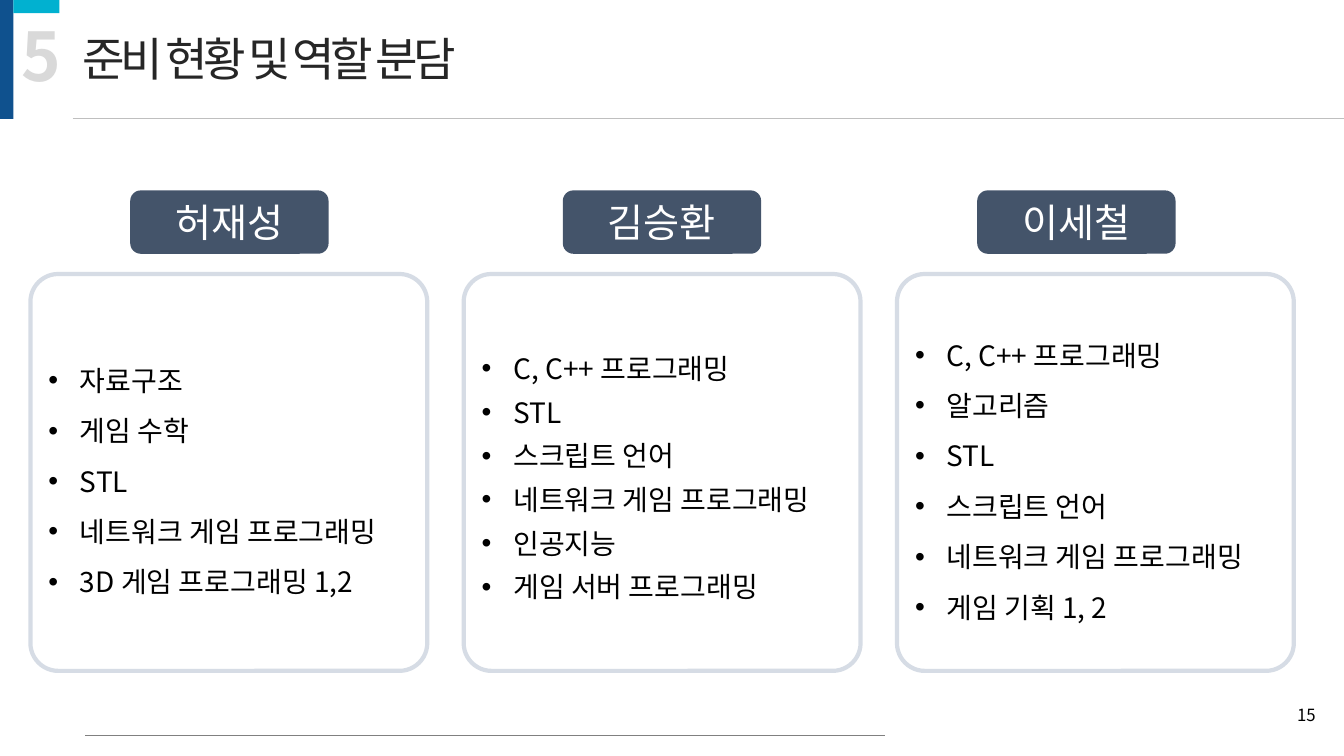
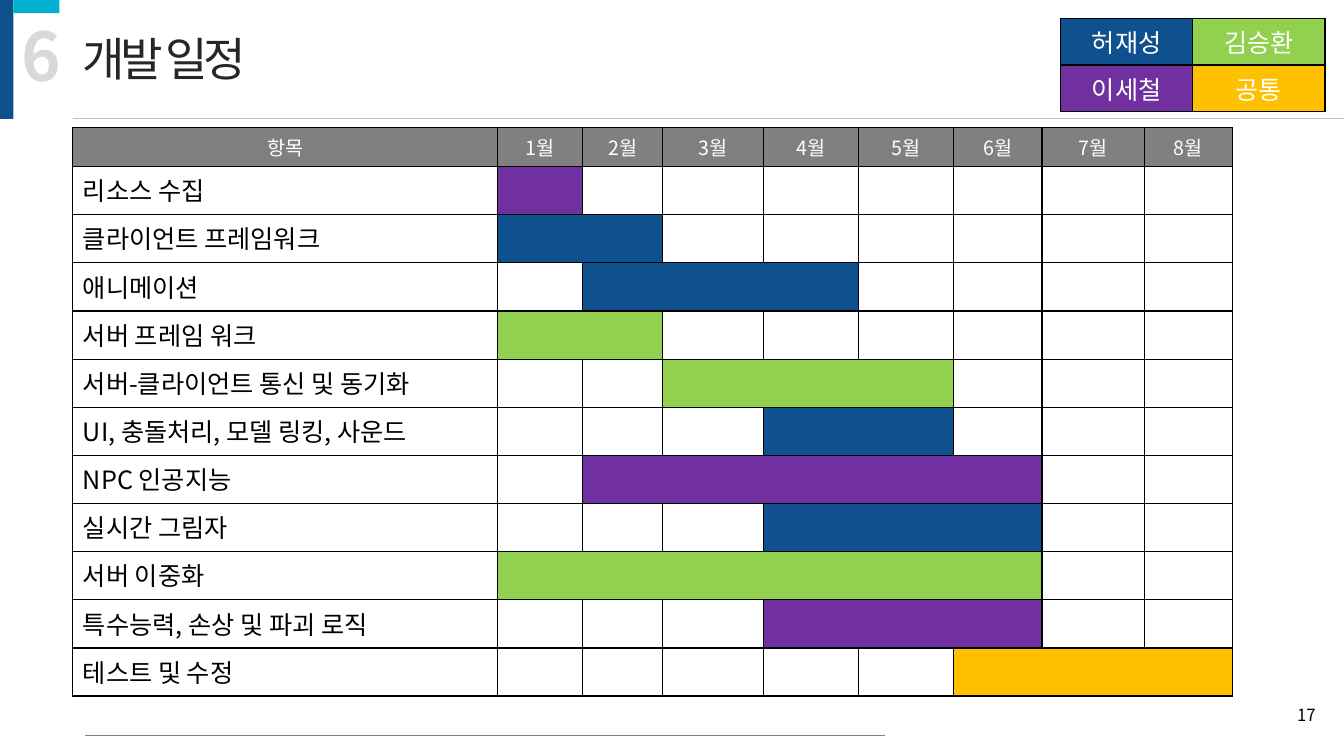
"""Build two project slides: team preparation by member and the development schedule."""
import pptx
import pptx.dml.color
import pptx.enum.shapes
import pptx.enum.text
import pptx.oxml
import pptx.oxml.ns
import pptx.util

Pt = pptx.util.Pt
RGB = pptx.dml.color.RGBColor.from_string
MSO = pptx.enum.shapes.MSO_SHAPE
ALIGN = pptx.enum.text.PP_ALIGN
ANCHOR = pptx.enum.text.MSO_ANCHOR
qn = pptx.oxml.ns.qn
NS = pptx.oxml.ns.nsdecls("a")

THEME = {
    "font": "Noto Sans CJK KR",
    "colors": {
        "navy": "0F518E", "cyan": "01B1D0", "rule": "BFBFBF", "gray": "808080",
        "slate": "44546A", "frame": "D6DCE5", "white": "FFFFFF", "black": "000000",
        "ink": "262626", "pale": "D9D9D9", "green": "92D050", "purple": "7030A0",
        "amber": "FFC000",
    },
    "styles": {
        "title": {"size": 33, "color": "ink", "spacing": -300},
        "number": {"size": 48, "color": "pale", "bold": True, "wrap": False},
        "page": {"size": 12, "color": "black", "align": ALIGN.RIGHT, "anchor": ANCHOR.MIDDLE},
        "badge": {"size": 28, "color": "white", "align": ALIGN.CENTER, "anchor": ANCHOR.MIDDLE},
        "list": {"size": 20, "color": "black", "anchor": ANCHOR.MIDDLE, "indent": 22.5},
        "head": {"size": 14, "color": "white", "align": ALIGN.CENTER},
        "task": {"size": 18, "color": "black"},
        "legend": {"size": 18, "color": "white", "align": ALIGN.CENTER, "anchor": ANCHOR.MIDDLE},
    },
}
COLORS = {name: RGB(value) for name, value in THEME["colors"].items()}


def put(s, kind, box, fill=None, line=None):
    """Add a preset shape, or a text box when kind is None."""
    box = [Pt(v) for v in box]
    if kind is None:
        return s.shapes.add_textbox(*box)
    sp = s.shapes.add_shape(kind, *box)
    sp.shadow.inherit = False
    for part, color in ((sp.fill, fill), (sp.line.fill, line)):
        if color:
            part.solid()
            part.fore_color.rgb = COLORS[color]
        else:
            part.background()
    return sp


def write(tf, lines, style, spacing=None):
    """Fill a text frame with one paragraph per line in a theme style."""
    st = THEME["styles"][style]
    tf.word_wrap = st.get("wrap", True)
    tf.vertical_anchor = st.get("anchor", ANCHOR.TOP)
    for i, text in enumerate(lines):
        p = tf.add_paragraph() if i else tf.paragraphs[0]
        for name, value in {"alignment": st.get("align", ALIGN.LEFT), "line_spacing": spacing}.items():
            setattr(p, name, value)
        if "indent" in st:
            pPr = p._p.get_or_add_pPr()
            pPr.set("marL", str(Pt(st["indent"])))
            pPr.set("indent", str(-Pt(st["indent"])))
            pPr.append(pptx.oxml.parse_xml(f'<a:buFont {NS} typeface="Arial"/>'))
            pPr.append(pptx.oxml.parse_xml(f'<a:buChar {NS} char="•"/>'))
        r = p.add_run()
        r.text = text
        values = {"size": Pt(st["size"]), "bold": st.get("bold", False), "name": THEME["font"]}
        for name, value in values.items():
            setattr(r.font, name, value)
        r.font.color.rgb = COLORS[st["color"]]
        rPr = r.font._element
        rPr.append(pptx.oxml.parse_xml(f'<a:ea {NS} typeface="{THEME["font"]}"/>'))
        if "spacing" in st:
            rPr.set("spc", str(st["spacing"]))


prs = pptx.Presentation()
prs.slide_width, prs.slide_height = Pt(960), Pt(540)

slides = []
for number, title, page in (("5", "준비 현황 및 역할 분담", "15"), ("6", "개발 일정", "17")):
    s = prs.slides.add_slide(prs.slide_layouts[6])
    slides.append(s)
    put(s, MSO.RECTANGLE, (0, 0, 9.5, 85), "navy")
    put(s, MSO.RECTANGLE, (9.5, 0, 33, 9.4), "cyan")
    for x1, x2, y, color in ((52, 960, 84.5, "rule"), (61, 632, 525, "gray")):
        cn = s.shapes.add_connector(pptx.enum.shapes.MSO_CONNECTOR.STRAIGHT, Pt(x1), Pt(y), Pt(x2), Pt(y))
        cn.line.width = Pt(0.5)
        cn.line.color.rgb = COLORS[color]
        cn._element.spPr.append(pptx.oxml.parse_xml(f"<a:effectLst {NS}/>"))
    for text, style, box in (
        (title, "title", (52, 18, 323, 47.5)),
        (number, "number", (8.6, 6.5, 42.5, 65.5)),
        (page, "page", (916, 496, 31, 29)),
    ):
        write(put(s, None, box).text_frame, [text], style)

team_slide, plan_slide = slides
members = (
    ("허재성", 93, 1.5, ["자료구조", "게임 수학", "STL", "네트워크 게임 프로그래밍", "3D 게임 프로그래밍 1,2"]),
    ("김승환", 402, 1.3, ["C, C++ 프로그래밍", "STL", "스크립트 언어", "네트워크 게임 프로그래밍",
                       "인공지능", "게임 서버 프로그래밍"]),
    ("이세철", 698, 1.5, ["C, C++ 프로그래밍", "알고리즘", "STL", "스크립트 언어",
                       "네트워크 게임 프로그래밍", "게임 기획 1, 2"]),
)
for i, (name, badge_left, spacing, skills) in enumerate(members):
    card = put(team_slide, MSO.ROUNDED_RECTANGLE, (21.7 + 309.5 * i, 195.7, 283.5, 283.5), line="frame")
    card.adjustments[0] = 0.07
    card.line.width = Pt(3)
    write(card.text_frame, skills, "list", spacing)
    badge = put(team_slide, MSO.ROUNDED_RECTANGLE, (badge_left, 136, 141.7, 45.3), "slate")
    write(badge.text_frame, [name], "badge")

owners = {"허재성": "navy", "김승환": "green", "이세철": "purple", "공통": "amber"}
tasks = (
    ("리소스 수집", 1, 1, "이세철"),
    ("클라이언트 프레임워크", 1, 2, "허재성"),
    ("애니메이션", 2, 4, "허재성"),
    ("서버 프레임 워크", 1, 2, "김승환"),
    ("서버-클라이언트 통신 및 동기화", 3, 5, "김승환"),
    ("UI, 충돌처리, 모델 링킹, 사운드", 4, 5, "허재성"),
    ("NPC 인공지능", 2, 6, "이세철"),
    ("실시간 그림자", 4, 6, "허재성"),
    ("서버 이중화", 1, 6, "김승환"),
    ("특수능력, 손상 및 파괴 로직", 4, 6, "이세철"),
    ("테스트 및 수정", 6, 8, "공통"),
)
headings = ["항목"] + [f"{month}월" for month in range(1, 9)]
plan = [(0, c, c, text, "head", "gray") for c, text in enumerate(headings)]
for row, (task, start, end, owner) in enumerate(tasks, 1):
    plan.append((row, 0, 0, task, "task", "white"))
    plan.append((row, start, end, None, "task", owners[owner]))
legend = [(i // 2, i % 2, i % 2, name, "legend", color) for i, (name, color) in enumerate(owners.items())]

grids = (
    (52, 91, [303.5, 60.5, 57.5, 72, 67.7, 67.7, 63.5, 73, 63], [28] + [34.4] * len(tasks), plan),
    (757.5, 13, [94.5] * 2, [33.4] * 2, legend),
)
for left, top, widths, heights, entries in grids:
    frame = plan_slide.shapes.add_table(
        len(heights), len(widths), Pt(left), Pt(top), Pt(sum(widths)), Pt(sum(heights)))
    tbl = frame.table
    tbl.first_row = tbl.horz_banding = False
    for column, width in zip(tbl.columns, widths):
        column.width = Pt(width)
    for row, height in zip(tbl.rows, heights):
        row.height = Pt(height)
    for cell in tbl.iter_cells():
        tcPr = cell._tc.get_or_add_tcPr()
        for side in "LRTB":
            tcPr.append(pptx.oxml.parse_xml(
                f'<a:ln{side} {NS} w="{Pt(1)}"><a:solidFill>'
                f'<a:srgbClr val="{THEME["colors"]["black"]}"/></a:solidFill></a:ln{side}>'))
        cell.fill.solid()
        cell.fill.fore_color.rgb = COLORS["white"]
    for row, first, last, text, style, color in entries:
        cell = tbl.cell(row, first)
        if last > first:
            cell.merge(tbl.cell(row, last))
        cell.fill.fore_color.rgb = COLORS[color]
        if text:
            write(cell.text_frame, [text], style)
            cell.vertical_anchor = THEME["styles"][style].get("anchor", ANCHOR.TOP)

prs.save("out.pptx")
